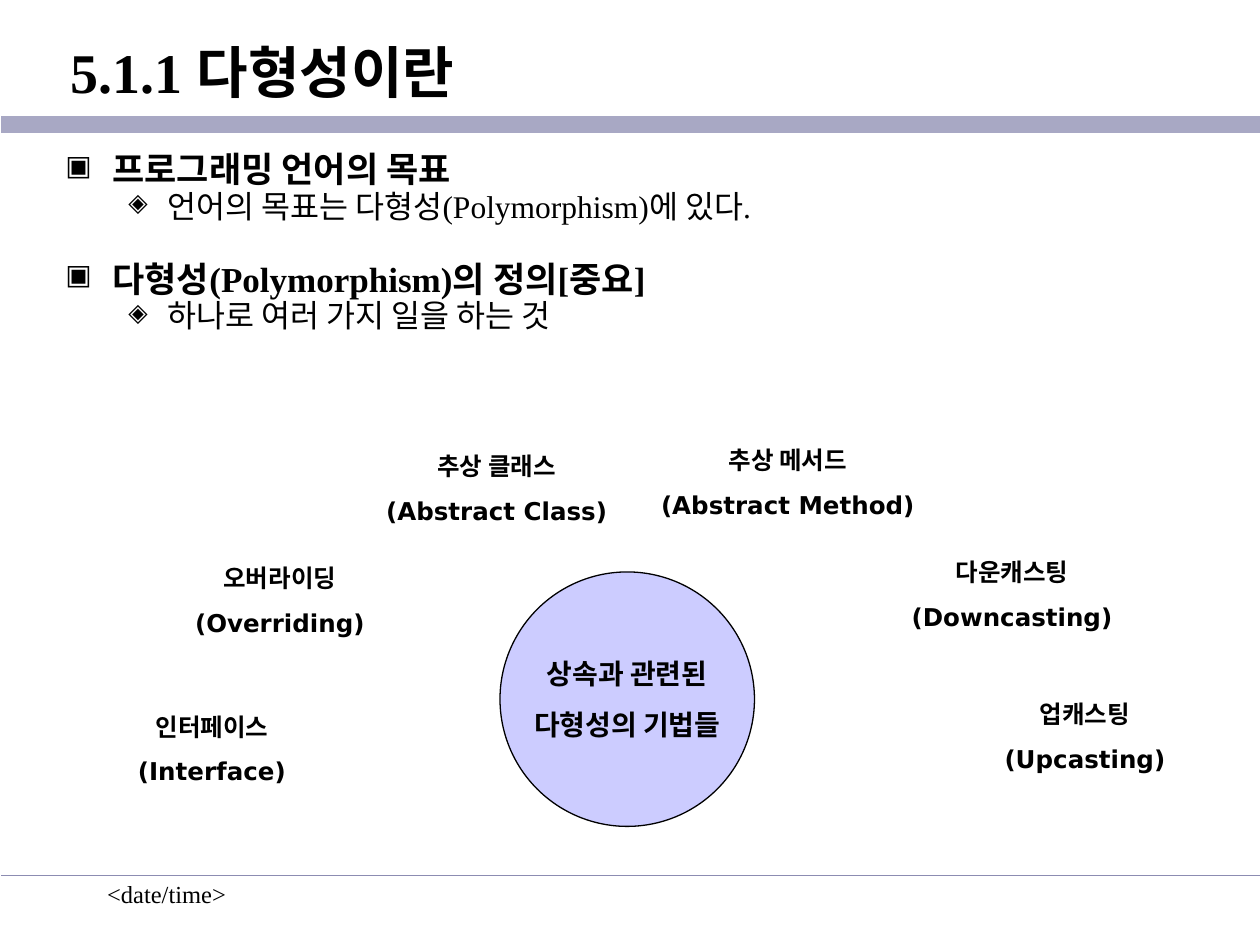
from dataclasses import dataclass

from lxml import etree
from pptx import Presentation
from pptx.dml.color import RGBColor
from pptx.enum.shapes import MSO_CONNECTOR, MSO_SHAPE
from pptx.enum.text import MSO_ANCHOR, PP_ALIGN
from pptx.oxml.ns import qn
from pptx.util import Cm, Pt

OVAL = MSO_SHAPE.OVAL
STRAIGHT = MSO_CONNECTOR.STRAIGHT
TOP, MIDDLE = MSO_ANCHOR.TOP, MSO_ANCHOR.MIDDLE
LEFT, CENTER = PP_ALIGN.LEFT, PP_ALIGN.CENTER


@dataclass(frozen=True)
class Theme:
    # Colours
    ink: str = "000000"
    band: str = "A8A8C4"
    rule: str = "8C8CB2"
    disc: str = "CCCCFF"
    # Fonts
    serif: str = "Times New Roman"
    sans: str = "DejaVu Sans"
    # Type sizes
    title: int = 32
    head: int = 20
    item: int = 18
    core: int = 16
    label: int = 14


def color(code):
    return RGBColor.from_string(code)


def write(par, text, *, font, size, ink, bold=False, align=LEFT,
          before=0, lead=None):
    """Put text in a paragraph and format it."""
    par.text = text
    par.alignment = align
    par.space_before = Pt(before)
    if lead:
        par.line_spacing = lead
    style = par.font
    style.name, style.size, style.bold = font, Pt(size), bold
    style.color.rgb = color(ink)


def bullet(par, mark, ink, left, hang):
    """Give a paragraph a bullet and a hanging indent."""
    props = par._p.get_or_add_pPr()
    props.set("marL", str(Cm(left)))
    props.set("indent", str(-Cm(hang)))
    tint = etree.SubElement(props, qn("a:buClr"))
    etree.SubElement(tint, qn("a:srgbClr"), val=ink)
    etree.SubElement(props, qn("a:buSzPct"), val="80000")
    etree.SubElement(props, qn("a:buChar"), char=mark)


class Painter:
    def __init__(self, slide, theme):
        self.slide = slide
        self.theme = theme

    def rule(self, y, ink, width):
        line = self.slide.shapes.add_connector(
            STRAIGHT, Cm(0.03), Cm(y), Cm(25.4), Cm(y))
        line.line.color.rgb = color(ink)
        line.line.width = Pt(width)
        etree.SubElement(line._element.spPr, qn("a:effectLst"))

    def box(self, left, top, width, height, anchor=TOP):
        frame = self.slide.shapes.add_textbox(
            Cm(left), Cm(top), Cm(width), Cm(height)).text_frame
        frame.word_wrap = True
        frame.vertical_anchor = anchor
        return frame

    def text(self, text, place, size, bold=False, anchor=TOP):
        frame = self.box(*place, anchor=anchor)
        write(frame.paragraphs[0], text, font=self.theme.serif, size=size,
              ink=self.theme.ink, bold=bold)

    def topics(self, topics, place):
        look = self.theme
        frame = self.box(*place)
        for index, (head, item) in enumerate(topics):
            par = frame.add_paragraph() if index else frame.paragraphs[0]
            bullet(par, "▣", look.ink, 0.95, 0.95)
            write(par, head, font=look.serif, size=look.head, ink=look.ink,
                  bold=True, before=23.7 if index else 0, lead=0.8)
            par = frame.add_paragraph()
            bullet(par, "◈", look.ink, 2.06, 0.79)
            write(par, item, font=look.serif, size=look.item, ink=look.ink,
                  before=2.5, lead=0.8)

    def circle(self, lines, left, top, width, size, gap, fill=None):
        shape = self.slide.shapes.add_shape(
            OVAL, Cm(left), Cm(top), Cm(width), Cm(width))
        shape.shadow.inherit = False
        if fill:
            shape.fill.solid()
            shape.fill.fore_color.rgb = color(fill)
            shape.line.color.rgb = color(self.theme.ink)
            shape.line.width = Pt(0.75)
        else:
            shape.fill.background()
            shape.line.fill.background()
        frame = shape.text_frame
        frame.word_wrap = False
        frame.vertical_anchor = MIDDLE
        for index, line in enumerate(lines):
            par = frame.add_paragraph() if index else frame.paragraphs[0]
            write(par, line, font=self.theme.sans, size=size,
                  ink=self.theme.ink, bold=True, align=CENTER,
                  before=gap if index else 0)


TOPICS = [
    ("프로그래밍 언어의 목표", "언어의 목표는 다형성(Polymorphism)에 있다."),
    ("다형성(Polymorphism)의 정의[중요]", "하나로 여러 가지 일을 하는 것"),
]

# Korean name, English name, left, top
LABELS = [
    ("인터페이스", "(Interface)", 2.21, 13.03),
    ("오버라이딩", "(Overriding)", 3.58, 10.03),
    ("추상 클래스", "(Abstract Class)", 7.95, 7.77),
    ("추상 메서드", "(Abstract Method)", 13.82, 7.65),
    ("다운캐스팅", "(Downcasting)", 18.34, 9.91),
    ("업캐스팅", "(Upcasting)", 19.81, 12.78),
]


def main():
    deck = Presentation()
    deck.slide_width, deck.slide_height = Cm(25.4), Cm(19.05)
    look = Theme()
    paint = Painter(deck.slides.add_slide(deck.slide_layouts[6]), look)

    # Frame: date, title band and footer rule
    paint.text("<date/time>", (1.91, 17.6, 5.28, 1.27), look.label)
    paint.rule(2.51, look.band, 9.25)
    paint.rule(17.65, look.rule, 1)

    # Title and topics
    paint.text("5.1.1 다형성이란", (1.17, 0.28, 24.2, 2.29), look.title,
               bold=True, anchor=MIDDLE)
    paint.topics(TOPICS, (1.07, 3.02, 23.27, 4.5))

    # Techniques around the central circle
    for name, term, left, top in LABELS:
        paint.circle((name, term), left, top, 4.13, look.label, 8.8)
    paint.circle(("상속과 관련된", "다형성의 기법들"), 10.08, 11.53, 5.13,
                 look.core, 10, fill=look.disc)

    deck.save("out.pptx")


if __name__ == "__main__":
    main()
